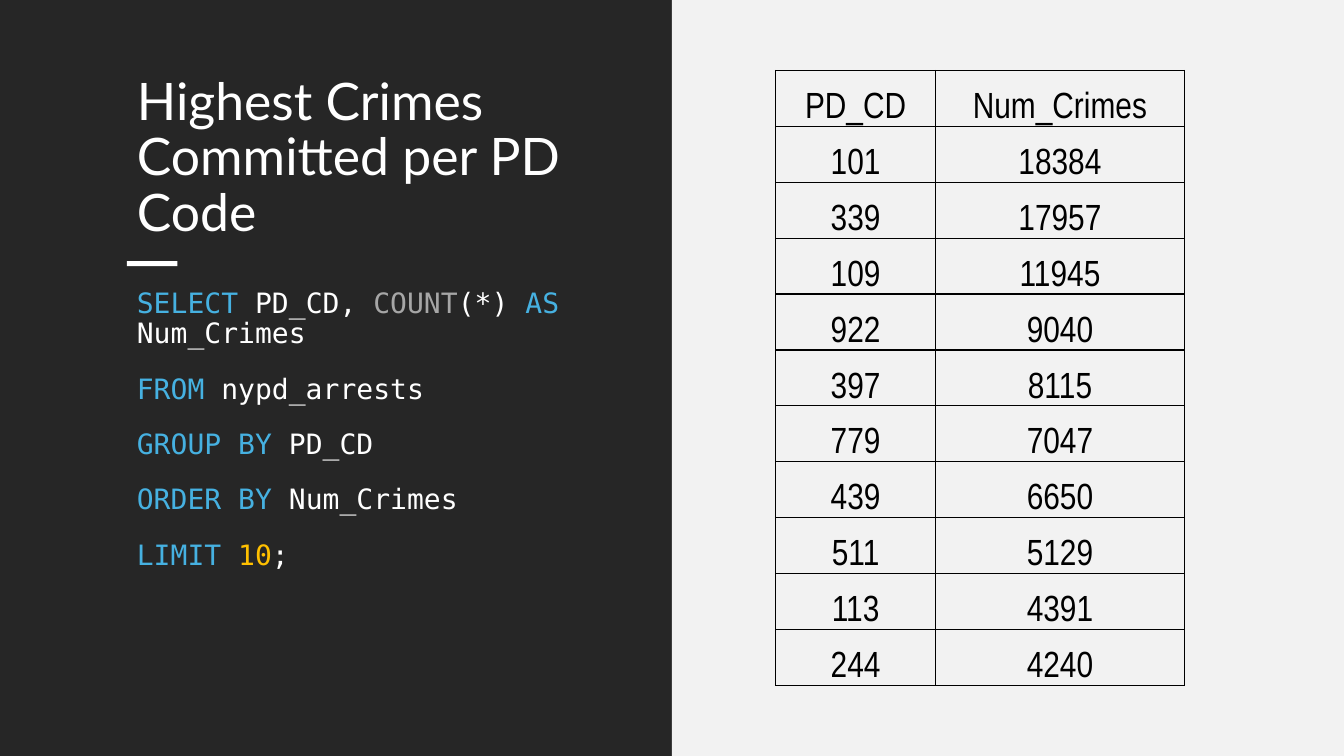
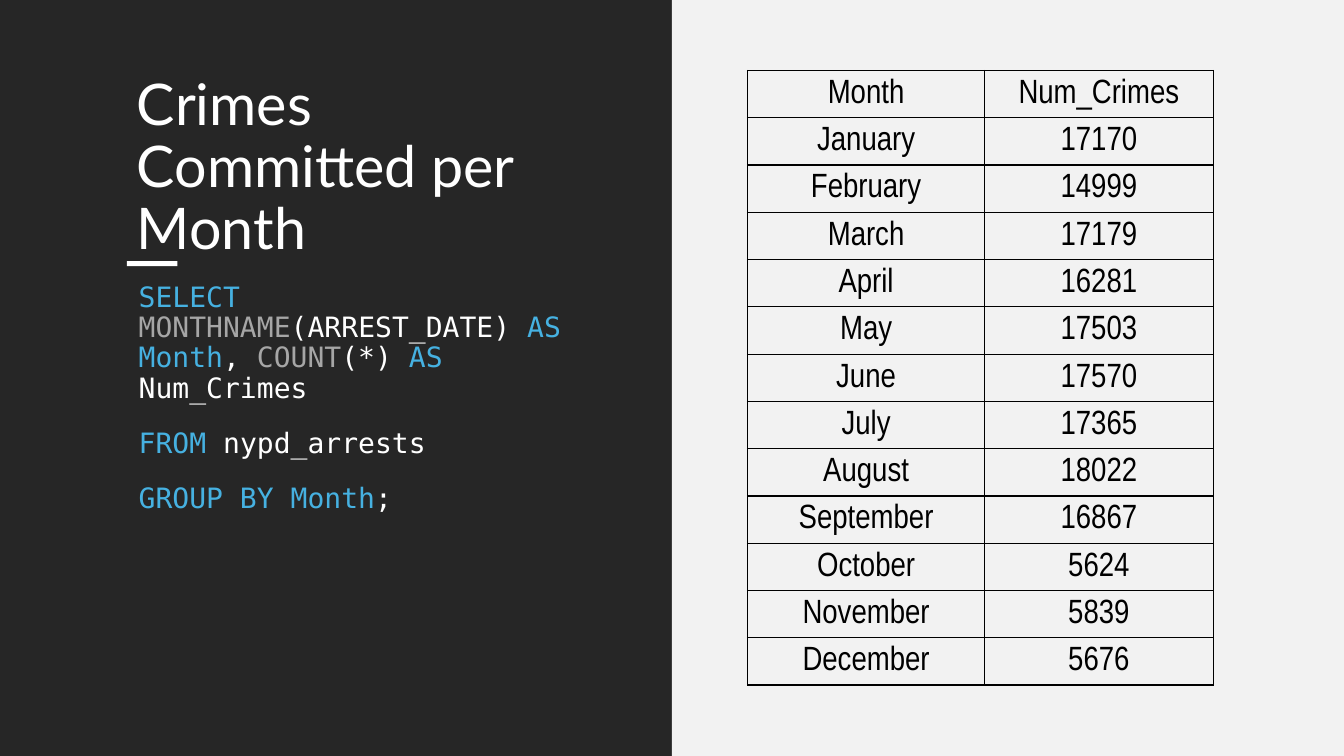
from dataclasses import dataclass

from lxml import etree
from pptx import Presentation
from pptx import util as u
from pptx.dml.color import RGBColor
from pptx.enum import shapes, text
from pptx.oxml import ns


@dataclass(frozen=True)
class Theme:
    dark: str = "262626"
    light: str = "F2F2F2"
    white: str = "FFFFFF"
    black: str = "000000"
    keyword: str = "46B1E1"
    function: str = "A6A6A6"
    number: str = "FFC000"
    title_font: str = "Lato"
    code_font: str = "DejaVu Sans Mono"
    table_font: str = "Arial Narrow"
    code_size: float = 20
    border_width: float = 1


@dataclass(frozen=True)
class Box:
    left: float
    top: float
    width: float
    height: float

    def within(self, left, top, width, height):
        return Box(self.left + left, self.top + top, width, height)

    def points(self):
        return [u.Pt(v) for v in (self.left, self.top, self.width, self.height)]


THEME = Theme()
PAGE = Box(0, 0, 960, 540)
LEFT_HALF = PAGE.within(0, 0, PAGE.width / 2, PAGE.height)
RIGHT_HALF = PAGE.within(PAGE.width / 2, 0, PAGE.width / 2, PAGE.height)

# Queries: one list per clause, each span is (role, words)
CRIMES_BY_CODE = [
    [("keyword", "SELECT"), ("white", " PD_CD, "), ("function", "COUNT"),
     ("white", "(*) "), ("keyword", "AS "), ("white", "Num_Crimes")],
    [("keyword", "FROM "), ("white", "nypd_arrests")],
    [("keyword", "GROUP BY "), ("white", "PD_CD")],
    [("keyword", "ORDER BY "), ("white", "Num_Crimes")],
    [("keyword", "LIMIT "), ("number", "10"), ("white", ";")],
]
CRIMES_BY_MONTH = [
    [("keyword", "SELECT "), ("function", "MONTHNAME"),
     ("white", "(ARREST_DATE) "), ("keyword", "AS Month"), ("white", ", "),
     ("function", "COUNT"), ("white", "(*) "), ("keyword", "AS "),
     ("white", "Num_Crimes")],
    [("keyword", "FROM "), ("white", "nypd_arrests")],
    [("keyword", "GROUP BY Month"), ("white", ";")],
]

# Query results, header first
CODE_ROWS = [
    ("PD_CD", "Num_Crimes"), (101, 18384), (339, 17957), (109, 11945),
    (922, 9040), (397, 8115), (779, 7047), (439, 6650), (511, 5129),
    (113, 4391), (244, 4240),
]
MONTH_ROWS = [
    ("Month", "Num_Crimes"), ("January", 17170), ("February", 14999),
    ("March", 17179), ("April", 16281), ("May", 17503), ("June", 17570),
    ("July", 17365), ("August", 18022), ("September", 16867),
    ("October", 5624), ("November", 5839), ("December", 5676),
]


def color(value):
    return RGBColor.from_string(value)


def set_font(font, name, size, value=None):
    font.name = name
    font.size = u.Pt(size)
    if value:
        font.color.rgb = color(value)


def add_panel(page, box, fill):
    panel = page.shapes.add_shape(shapes.MSO_SHAPE.RECTANGLE, *box.points())
    panel.shadow.inherit = False
    panel.fill.solid()
    panel.fill.fore_color.rgb = color(fill)
    panel.line.fill.background()


def add_text_frame(page, box):
    frame = page.shapes.add_textbox(*box.points()).text_frame
    frame.word_wrap = True
    return frame


def add_title(page, box, title, size):
    para = add_text_frame(page, box).paragraphs[0]
    para.text = title
    para.line_spacing = 0.9
    set_font(para.font, THEME.title_font, size, THEME.white)


def add_query(page, box, clauses):
    frame = add_text_frame(page, box)
    for index, clause in enumerate(clauses):
        para = frame.add_paragraph() if index else frame.paragraphs[0]
        para.line_spacing = 0.9
        para.space_before = u.Pt(10 if index else 0)
        para.space_after = u.Pt(8)
        set_font(para.font, THEME.code_font, THEME.code_size)
        for role, words in clause:
            span = para.add_run()
            span.text = words
            span.font.color.rgb = color(getattr(THEME, role))


def add_borders(cell):
    properties = cell._tc.get_or_add_tcPr()
    for side in ("a:lnL", "a:lnR", "a:lnT", "a:lnB"):
        line = etree.SubElement(properties, ns.qn(side),
                                w=str(u.Pt(THEME.border_width)))
        fill = etree.SubElement(line, ns.qn("a:solidFill"))
        etree.SubElement(fill, ns.qn("a:srgbClr"), val=THEME.black)


def add_results(page, box, rows, widths, size, anchor, inset):
    table = page.shapes.add_table(len(rows), len(widths), *box.points()).table
    table.first_row = table.horz_banding = False
    for column, width in zip(table.columns, widths):
        column.width = u.Pt(width)
    for row, values in zip(table.rows, rows):
        row.height = u.Pt(box.height / len(rows))
        for cell, value in zip(row.cells, values):
            add_borders(cell)
            cell.fill.background()
            cell.vertical_anchor = anchor
            cell.margin_left = cell.margin_right = cell.margin_top = u.Pt(inset)
            cell.margin_bottom = 0
            para = cell.text_frame.paragraphs[0]
            para.text = str(value)
            para.alignment = text.PP_ALIGN.CENTER
            set_font(para.font, THEME.table_font, size, THEME.black)


def add_query_panel(page, box, title, title_size, clauses, query_at):
    add_panel(page, box, THEME.dark)
    add_title(page, box.within(90.7, 50.4, 339, 128), title, title_size)
    add_panel(page, box.within(90.7, 186.5, 36, 3.6), THEME.white)
    add_query(page, box.within(*query_at, 338, 286), clauses)


def add_results_panel(page, box, left, rows, widths, **style):
    add_panel(page, box, THEME.light)
    table_box = box.within(left, 50.4, sum(widths), 439.2)
    add_results(page, table_box, rows, widths, **style)


def main():
    deck = Presentation()
    deck.slide_width, deck.slide_height = u.Pt(PAGE.width), u.Pt(PAGE.height)
    blank = deck.slide_layouts[6]

    # Arrests by police code
    page = deck.slides.add_slide(blank)
    add_query_panel(page, LEFT_HALF, "Highest Crimes Committed per PD Code",
                    36.9, CRIMES_BY_CODE, (90.7, 203))
    add_results_panel(page, RIGHT_HALF, 74.2, CODE_ROWS, (114, 178), size=26,
                      anchor=text.MSO_ANCHOR.BOTTOM, inset=1.4)

    # Arrests by month
    page = deck.slides.add_slide(blank)
    add_query_panel(page, LEFT_HALF, "Crimes Committed per Month",
                    41, CRIMES_BY_MONTH, (92, 198.7))
    add_results_panel(page, RIGHT_HALF, 54, MONTH_ROWS, (169.3, 163.3), size=24,
                      anchor=text.MSO_ANCHOR.MIDDLE, inset=0.7)

    deck.save("out.pptx")


if __name__ == "__main__":
    main()
